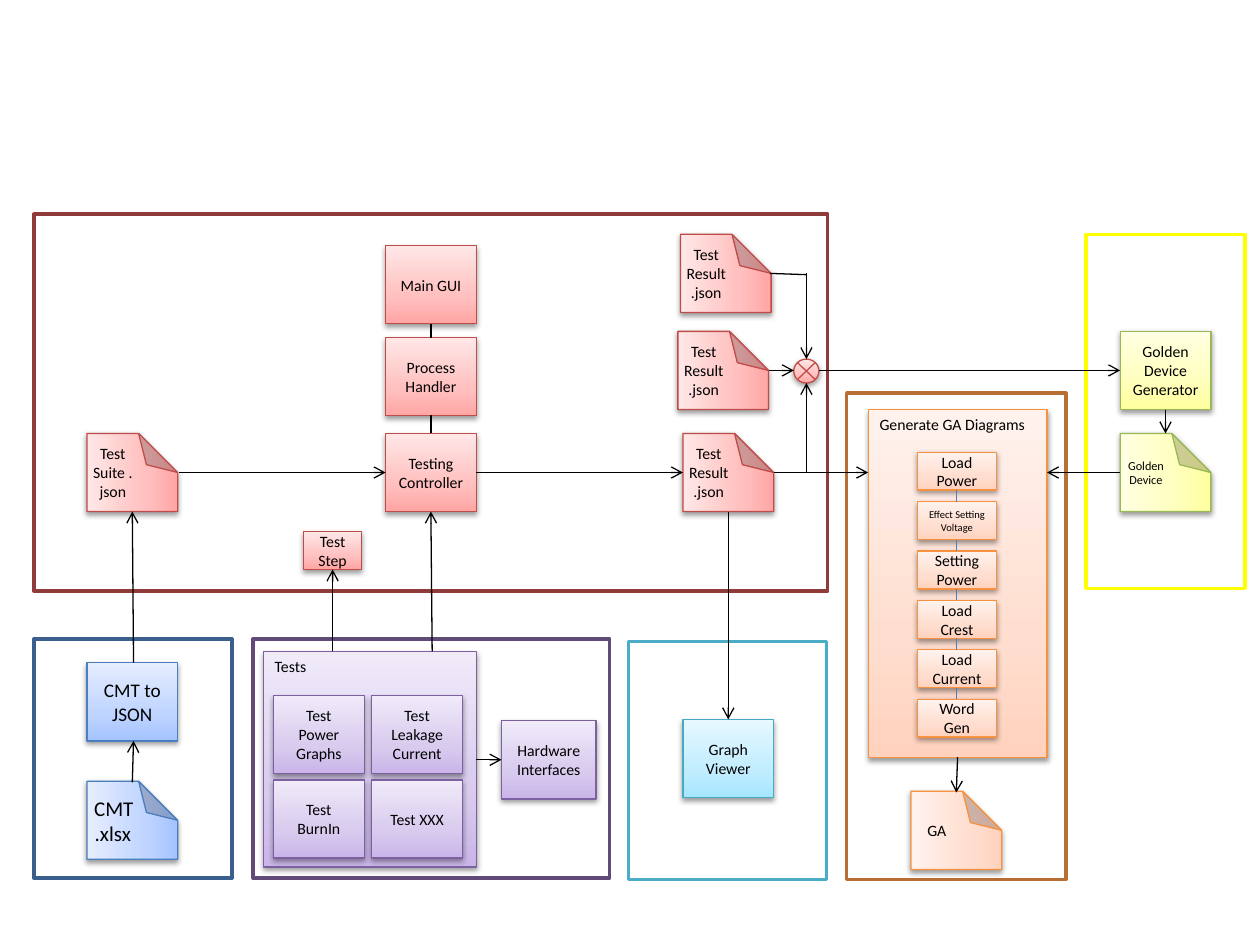
"""Builds a slide that maps how test data flows through a device test system."""
from copy import deepcopy

from lxml import etree
from pptx import Presentation, util as u
from pptx.dml.color import RGBColor
from pptx.enum import shapes, text
from pptx.oxml.ns import qn

prs = Presentation()
prs.slide_width, prs.slide_height = u.Inches(10), u.Inches(7.5)
s = prs.slides.add_slide(prs.slide_layouts[6])
COL, ROW = prs.slide_width / 100, prs.slide_height / 75
BOX_W, BOX_H = 7.2, 6.2
STEP_W, STEP_H, STEP_PITCH = 6.3, 3, 3.92
KIND = shapes.MSO_SHAPE
hue = RGBColor.from_string

RED = ("BF4C48", 0.35, "FFA6A5", "FFC0BF", "FFE7E7")
BLUE = ("4B7EBC", 0.35, "A4C4FF", "BFD4FF", "E6EEFF")
PURPLE = ("7D60A0", 0.35, "C9B5E8", "D8CBEE", "F0EAF9")
CYAN = ("46AAC5", 0.35, "A7E6FF", "C1EDFF", "E7F8FF")
ORANGE = ("F69240", 0.35, "FFD2BD", "FFDED0", "FFF2ED")
YELLOW = ("98B955", 0.5, "FFFFA0", "FFFFC5", "FFFFE3")


def add_box(label, x, y, theme, w=BOX_W, h=BOX_H, size=9, kind=KIND.FLOWCHART_PROCESS, panel=False):
    folded = kind == KIND.FOLDED_CORNER
    if folded:
        x, y, w, h = x + (w - h) / 2, y + (h - w) / 2, h, w
    sp = s.shapes.add_shape(kind, int(x * COL), int(y * ROW), int(w * COL), int(h * ROW))
    edge, middle, *shades = theme
    sp.line.color.rgb, sp.line.width = hue(edge), u.Pt(0.75)
    sp.fill.gradient()
    sp.fill.gradient_angle = 90
    stops = next(sp.element.spPr.iter(qn("a:gsLst")))
    stops.insert(1, deepcopy(stops[0]))
    for stop, position, shade in zip(sp.fill.gradient_stops, (0, middle, 1), shades):
        stop.position, stop.color.rgb = position, hue(shade)
    sp.shadow.inherit = False
    shadow = etree.SubElement(sp.element.spPr.find(qn("a:effectLst")), qn("a:outerShdw"),
                              blurRad="40000", dist="20000", dir="5400000", rotWithShape="0")
    black = etree.SubElement(shadow, qn("a:srgbClr"), val="000000")
    etree.SubElement(black, qn("a:alpha"), val="38000")
    tf = sp.text_frame
    if folded:
        sp.rotation = 270
        guides = next(sp.element.spPr.iter(qn("a:avLst")))
        etree.SubElement(guides, qn("a:gd"), name="adj", fmla="val 50000")
        sp.element.txBody.bodyPr.set("vert", "vert")
    if label:
        tf.word_wrap = True
        tf.margin_left = tf.margin_right = u.Inches(0.09)
        tf.margin_top = tf.margin_bottom = u.Inches(0.04)
        tf.vertical_anchor = text.MSO_ANCHOR.TOP if panel else text.MSO_ANCHOR.MIDDLE
        p = tf.paragraphs[0]
        p.alignment = text.PP_ALIGN.LEFT if panel else text.PP_ALIGN.CENTER
        r = p.add_run()
        r.text, r.font.size, r.font.name = label, u.Pt(size), "Calibri"
        r.font.color.rgb = hue("000000")


def add_line(x1, y1, x2, y2, color="000000", arrow=True):
    cx = s.shapes.add_connector(shapes.MSO_CONNECTOR.STRAIGHT, int(x1 * COL), int(y1 * ROW),
                                int(x2 * COL), int(y2 * ROW))
    cx.line.color.rgb, cx.line.width = hue(color), u.Pt(0.75)
    if arrow:
        etree.SubElement(cx.element.spPr.find(qn("a:ln")), qn("a:tailEnd"), type="arrow")
    etree.SubElement(cx.element.spPr, qn("a:effectLst"))


for color, x, y, w, h in [
    ("3A5F8C", 2.7, 50.7, 15.7, 19),
    ("5F4A78", 20.1, 50.7, 28.3, 19),
    ("4BACC6", 49.9, 50.9, 15.7, 18.9),
    ("8E3B39", 2.7, 17, 63, 29.9),
    ("FFFF00", 86.2, 18.6, 12.6, 28.1),
    ("B76F34", 67.2, 31.2, 17.4, 38.6),
]:
    frame = s.shapes.add_shape(KIND.RECTANGLE, int(x * COL), int(y * ROW), int(w * COL), int(h * ROW))
    frame.fill.solid()
    frame.fill.fore_color.rgb = hue("FFFFFF")
    frame.line.color.rgb, frame.line.width = hue(color), u.Pt(2)
    frame.shadow.inherit = False

add_box("Tests", 20.9, 51.7, PURPLE, w=16.9, h=17.1, panel=True)
add_box("Generate GA Diagrams", 68.9, 32.5, ORANGE, w=14.2, h=27.6, panel=True)

for label, x, y, theme, size in [
    ("CMT.xlsx", 6.9, 62, BLUE, 12),
    ("Test Suite .json", 6.9, 34.4, RED, 9),
    ("Test Result.json", 54.2, 34.4, RED, 9),
    ("Test Result.json", 53.8, 26.3, RED, 9),
    ("Test Result.json", 54, 18.6, RED, 9),
    ("GA", 72.3, 62.8, ORANGE, 9),
    ("Golden Device", 88.9, 34.4, YELLOW, 7),
]:
    add_box(label, x, y, theme, size=size, kind=KIND.FOLDED_CORNER)

for label, x, y, theme in [
    ("Testing Controller", 30.6, 34.4, RED),
    ("Process Handler", 30.6, 26.8, RED),
    ("Main GUI", 30.6, 19.5, RED),
    ("Graph Viewer", 54.2, 57.1, CYAN),
    ("Golden Device Generator", 88.9, 26.3, YELLOW),
]:
    add_box(label, x, y, theme)

for i, label in enumerate(["Test Power Graphs", "Test Leakage Current", "Test BurnIn", "Test XXX"]):
    add_box(label, 21.7 + i % 2 * 7.8, 55.2 + i // 2 * 6.7, PURPLE)

add_box("CMT to JSON", 6.9, 52.6, BLUE, size=11)
add_box("Test Step", 24.1, 42.2, RED, w=4.6, h=3)
add_box("Hardware Interfaces", 39.8, 57.2, PURPLE, w=7.5)
add_box("", 63, 28.5, RED, w=2, h=1.9, kind=KIND.FLOWCHART_SUMMING_JUNCTION)

steps = ["Load Power", "Effect Setting Voltage", "Setting Power", "Load Crest", "Load Current", "Word Gen"]
for i, label in enumerate(steps):
    y = 35.9 + i * STEP_PITCH
    add_box(label, 72.8, y, ORANGE, w=STEP_W, h=STEP_H, size=6 if i == 1 else 9)
    if i:
        add_line(75.9, y - STEP_PITCH + STEP_H, 75.9, y, color="4B7EBC", arrow=False)

for ends in [
    (10.5, 62.1, 10.6, 58.8), (10.6, 52.6, 10.5, 40.6), (14.2, 37.5, 30.6, 37.5),
    (26.4, 51.7, 26.4, 45.2), (34.3, 51.7, 34.2, 40.6), (37.8, 37.5, 54.2, 37.5),
    (57.8, 40.6, 57.8, 57.1), (76, 60.1, 75.9, 62.9), (37.8, 60.3, 39.8, 60.3),
    (92.5, 32.5, 92.5, 34.4), (61, 29.4, 63, 29.4), (64, 21.7, 64, 28.5),
    (64, 37.5, 64, 30.4), (65, 29.4, 88.9, 29.4), (64, 37.5, 68.9, 37.5),
    (88.9, 37.5, 83.1, 37.5),
]:
    add_line(*ends)

for ends in [(34.2, 26.8, 34.2, 25.7), (34.2, 32.9, 34.2, 34.4), (61.1, 21.7, 64, 21.8), (61.4, 37.5, 64, 37.5)]:
    add_line(*ends, arrow=False)

prs.save("out.pptx")
